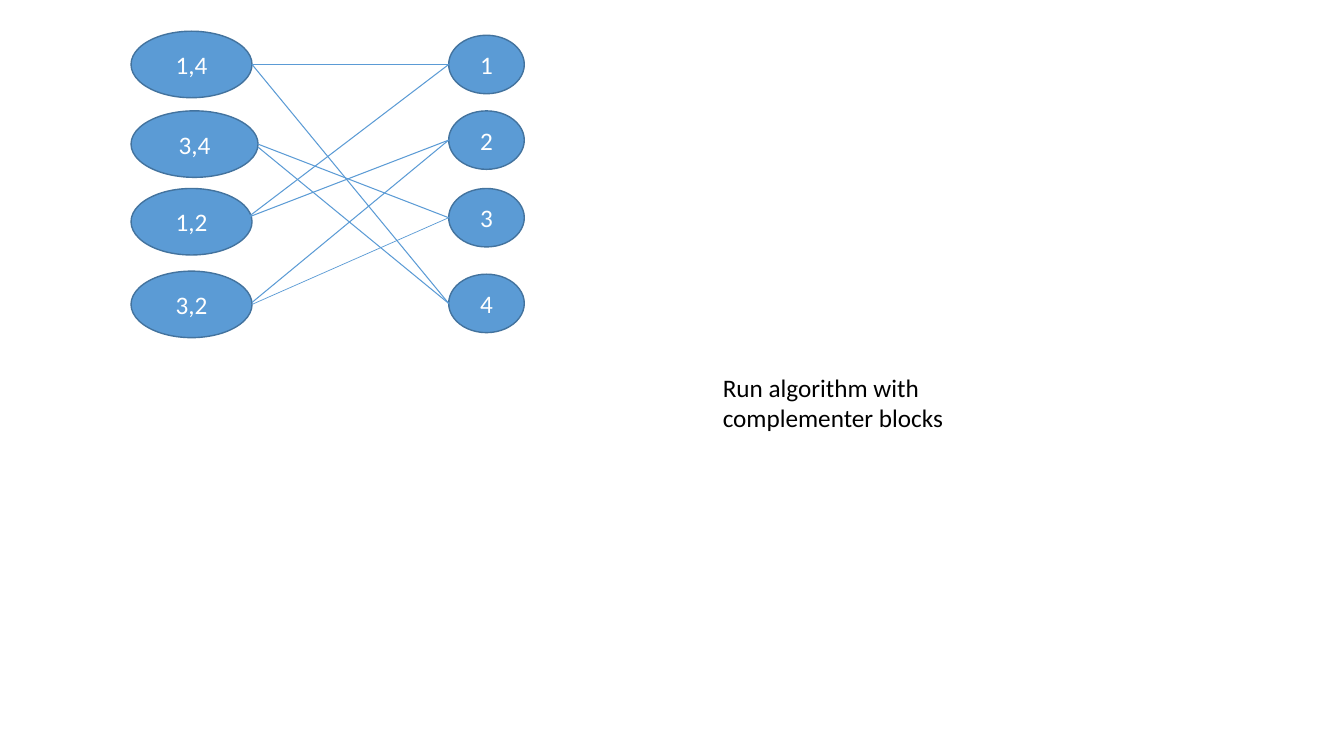
"""Draw a bipartite graph linking blocks to the elements they contain."""
from dataclasses import dataclass

from lxml import etree
from pptx import Presentation
from pptx import util as u
from pptx.dml.color import RGBColor
from pptx.enum import shapes, text
from pptx.oxml.ns import qn

PX = 9144


@dataclass(frozen=True)
class Theme:
    fill: RGBColor = RGBColor(0x5B, 0x9B, 0xD5)
    outline: RGBColor = RGBColor(0x43, 0x73, 0x9E)
    light: RGBColor = RGBColor(0xFF, 0xFF, 0xFF)
    dark: RGBColor = RGBColor(0, 0, 0)
    font: str = "Calibri"
    size: int = 18
    node_line: float = 1
    edge_line: float = 0.75
    thin_line: float = 0.5


@dataclass(frozen=True)
class Node:
    label: str
    left: int
    top: int
    width: int
    height: int


@dataclass(frozen=True)
class Edge:
    x: int
    y: int
    element: int
    weight: float


THEME = Theme()
BLOCKS = [
    Node("3,4", 130, 110, 126, 66),
    Node("1,2", 130, 187, 120, 66),
    Node("3,2", 130, 269, 120, 66),
    Node("1,4", 130, 31, 120, 66),
]
ELEMENTS = [
    Node(str(number), 445, top, 75, 58)
    for number, top in enumerate((35, 110, 187, 272), start=1)
]
EDGES = [
    Edge(250, 64, 1, THEME.edge_line),
    Edge(250, 64, 4, THEME.edge_line),
    Edge(256, 143, 3, THEME.edge_line),
    Edge(256, 146, 4, THEME.edge_line),
    Edge(240, 220, 1, THEME.edge_line),
    Edge(245, 216, 2, THEME.edge_line),
    Edge(250, 302, 3, THEME.thin_line),
    Edge(250, 300, 2, THEME.edge_line),
]


def px(*lengths: int) -> list[u.Emu]:
    return [u.Emu(length * PX) for length in lengths]


def add_run(p, wording: str, color: RGBColor) -> None:
    r = p.add_run()
    r.text = wording
    r.font.name = THEME.font
    r.font.size = u.Pt(THEME.size)
    r.font.color.rgb = color


def draw_node(s, node: Node) -> None:
    sp = s.shapes.add_shape(
        shapes.MSO_SHAPE.OVAL, *px(node.left, node.top, node.width, node.height)
    )
    sp.shadow.inherit = False
    sp.fill.solid()
    sp.fill.fore_color.rgb = THEME.fill
    sp.line.color.rgb = THEME.outline
    sp.line.width = u.Pt(THEME.node_line)
    tf = sp.text_frame
    tf.vertical_anchor = text.MSO_ANCHOR.MIDDLE
    p = tf.paragraphs[0]
    p.alignment = text.PP_ALIGN.CENTER
    add_run(p, node.label, THEME.light)


def draw_edge(s, edge: Edge) -> None:
    end = ELEMENTS[edge.element - 1]
    line = s.shapes.add_connector(
        shapes.MSO_CONNECTOR.STRAIGHT,
        *px(edge.x, edge.y, end.left, end.top + end.height // 2),
    )
    line.line.color.rgb = THEME.fill
    line.line.width = u.Pt(edge.weight)
    etree.SubElement(line._element.spPr, qn("a:effectLst"))


def draw_note(s, wording: str) -> None:
    sp = s.shapes.add_textbox(*px(707, 364, 328, 71))
    tf = sp.text_frame
    tf.word_wrap = True
    tf.auto_size = text.MSO_AUTO_SIZE.SHAPE_TO_FIT_TEXT
    add_run(tf.paragraphs[0], wording, THEME.dark)


def main() -> None:
    prs = Presentation()
    prs.slide_width, prs.slide_height = px(1333, 750)
    s = prs.slides.add_slide(prs.slide_layouts[6])
    for node in BLOCKS + ELEMENTS:
        draw_node(s, node)
    for edge in EDGES:
        draw_edge(s, edge)
    draw_note(s, "Run algorithm with complementer blocks")
    prs.save("out.pptx")


if __name__ == "__main__":
    main()
